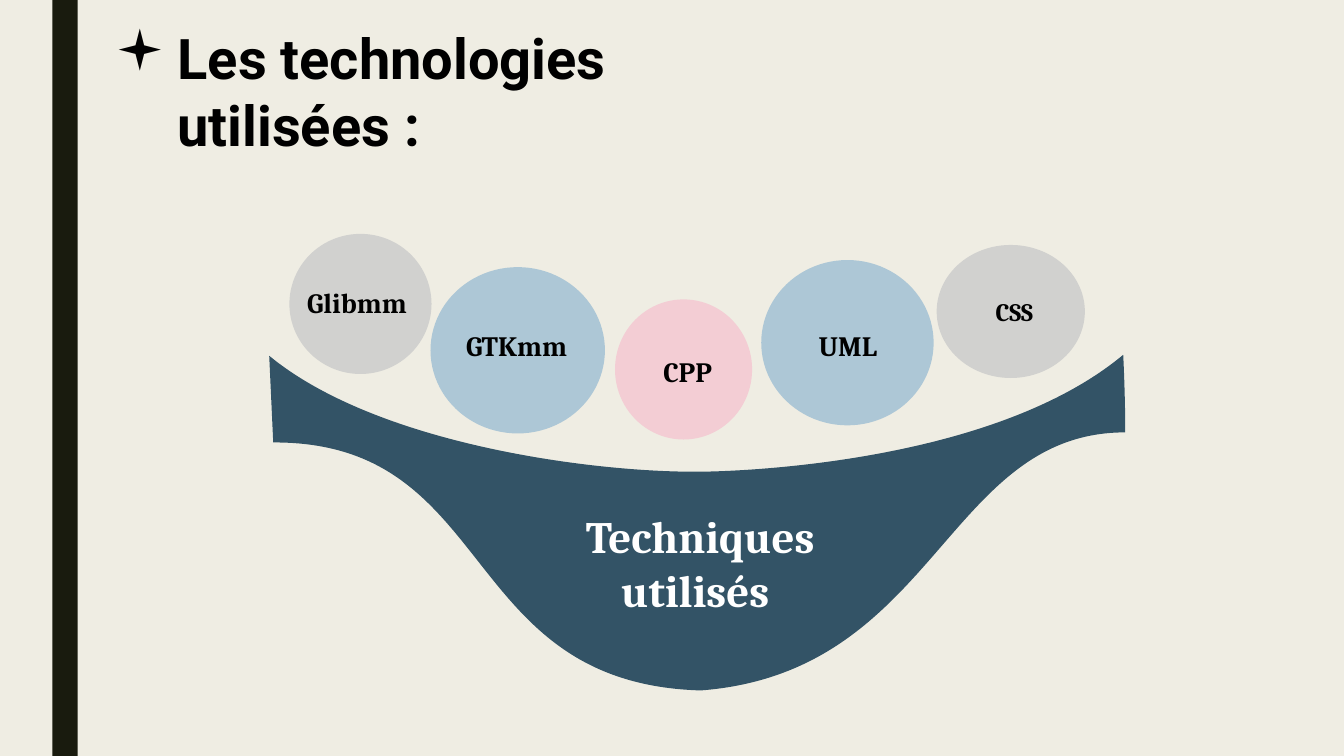
from dataclasses import dataclass

from lxml import etree
from pptx import Presentation
from pptx.dml.color import RGBColor
from pptx.enum import shapes as kinds, text as txt
from pptx.oxml.ns import qn
from pptx.util import Inches, Pt

COLORS = {
    "cream": "EFEDE3", "bar": "191B0E", "bowl": "335366", "pink": "F3CDD4",
    "blue": "ADC7D6", "grey": "D1D1CF", "black": "000000", "white": "FFFFFF",
}
Point = tuple[int, int]
Box = tuple[float, float, float, float]


@dataclass
class Technology:
    name: str
    color: str
    circle: Box
    label: Box
    size: int = 20


TECHNOLOGIES = [
    Technology("CPP", "pink", (6.1, 2.97, 1.36, 1.39), (5.98, 3.47, 1.68, 0.44)),
    Technology("GTKmm", "blue", (4.27, 2.65, 1.73, 1.65), (4.43, 3.21, 1.39, 0.44)),
    Technology("UML", "blue", (7.55, 2.58, 1.71, 1.64), (7.66, 3.21, 1.5, 0.44)),
    Technology("Glibmm", "grey", (2.87, 2.32, 1.41, 1.39), (2.9, 2.78, 1.28, 0.44)),
    Technology("CSS", "grey", (9.29, 2.43, 1.47, 1.32), (9.32, 2.89, 1.48, 0.4), 18),
]

# Bowl outline in hundredths of an inch: a line has 1 point, a cubic curve 3
BOWL_START: Point = (1114, 352)
BOWL_SEGMENTS: list[list[Point]] = [
    [(1114, 352), (1116, 391), (1116, 429)],
    [(938, 429), (929, 667), (695, 685)],
    [(453, 678), (494, 438), (271, 439)],
    [(267, 353)],
    [(375, 442), (592, 469), (694, 468)],
    [(694, 468), (975, 468), (1114, 352)],
]


def rgb(color: str) -> RGBColor:
    return RGBColor.from_string(COLORS[color])


def paint(shape, color: str) -> None:
    shape.shadow.inherit = False
    shape.fill.solid()
    shape.fill.fore_color.rgb = rgb(color)
    shape.line.fill.background()


def add_filled(slide, kind, box: Box, color: str) -> None:
    paint(slide.shapes.add_shape(kind, *map(Inches, box)), color)


def add_run(paragraph, words: str, size: int, font: str, color: str) -> None:
    run = paragraph.add_run()
    run.text = words
    run.font.size = Pt(size)
    run.font.name = font
    run.font.bold = True
    run.font.color.rgb = rgb(color)


def add_label(slide, words: str, box: Box, size: int, color: str) -> None:
    frame = slide.shapes.add_textbox(*map(Inches, box)).text_frame
    frame.word_wrap = True
    paragraph = frame.paragraphs[0]
    paragraph.alignment = txt.PP_ALIGN.CENTER
    add_run(paragraph, words, size, "Cambria", color)


def add_bowl(slide) -> None:
    builder = slide.shapes.build_freeform(*BOWL_START, scale=Inches(0.01))
    builder.add_line_segments([point for segment in BOWL_SEGMENTS for point in segment])
    bowl = builder.convert_to_shape()
    paint(bowl, "bowl")

    # Join the three points of each curve into one cubic segment
    lines = iter(list(bowl._element.iter(qn("a:lnTo"))))
    for segment in BOWL_SEGMENTS:
        steps = [next(lines) for _ in segment]
        if len(steps) == 3:
            curve = etree.Element(qn("a:cubicBezTo"))
            steps[0].addprevious(curve)
            for step in steps:
                curve.append(step[0])
                step.getparent().remove(step)
    outline = next(bowl._element.iter(qn("a:path")))
    etree.SubElement(outline, qn("a:close"))


def set_title(slide, words: str) -> None:
    title = slide.shapes.title
    title.left, title.top, title.width, title.height = map(
        Inches, (1.04, 0.18, 7.19, 0.77))
    frame = title.text_frame
    frame.word_wrap = True
    frame.auto_size = txt.MSO_AUTO_SIZE.NONE
    frame.vertical_anchor = txt.MSO_ANCHOR.TOP
    paragraph = frame.paragraphs[0]
    paragraph.alignment = txt.PP_ALIGN.LEFT
    properties = paragraph._p.get_or_add_pPr()
    properties.set("marL", str(Inches(0.62)))
    properties.set("indent", str(-Inches(0.62)))
    etree.SubElement(properties, qn("a:buFont")).set("typeface", "Wingdings")
    etree.SubElement(properties, qn("a:buChar")).set("char", "▪")
    add_run(paragraph, words, 40, "Roboto", "black")


def main() -> None:
    deck = Presentation()
    deck.slide_width, deck.slide_height = Inches(13.33), Inches(7.5)
    slide = deck.slides.add_slide(deck.slide_layouts[5])
    slide.background.fill.solid()
    slide.background.fill.fore_color.rgb = rgb("cream")

    # Side bar and title
    add_filled(slide, kinds.MSO_SHAPE.RECTANGLE, (0.52, 0, 0.25, 7.5), "bar")
    set_title(slide, "Les technologies utilisées :")

    # Bowl with its caption
    add_bowl(slide)
    add_label(slide, "Techniques utilisés ", (4.94, 5, 4.01, 1.18), 32, "white")

    # Technologies above the bowl
    for technology in TECHNOLOGIES:
        add_filled(slide, kinds.MSO_SHAPE.OVAL, technology.circle, technology.color)
        add_label(slide, technology.name, technology.label, technology.size, "black")

    deck.save("out.pptx")


if __name__ == "__main__":
    main()
